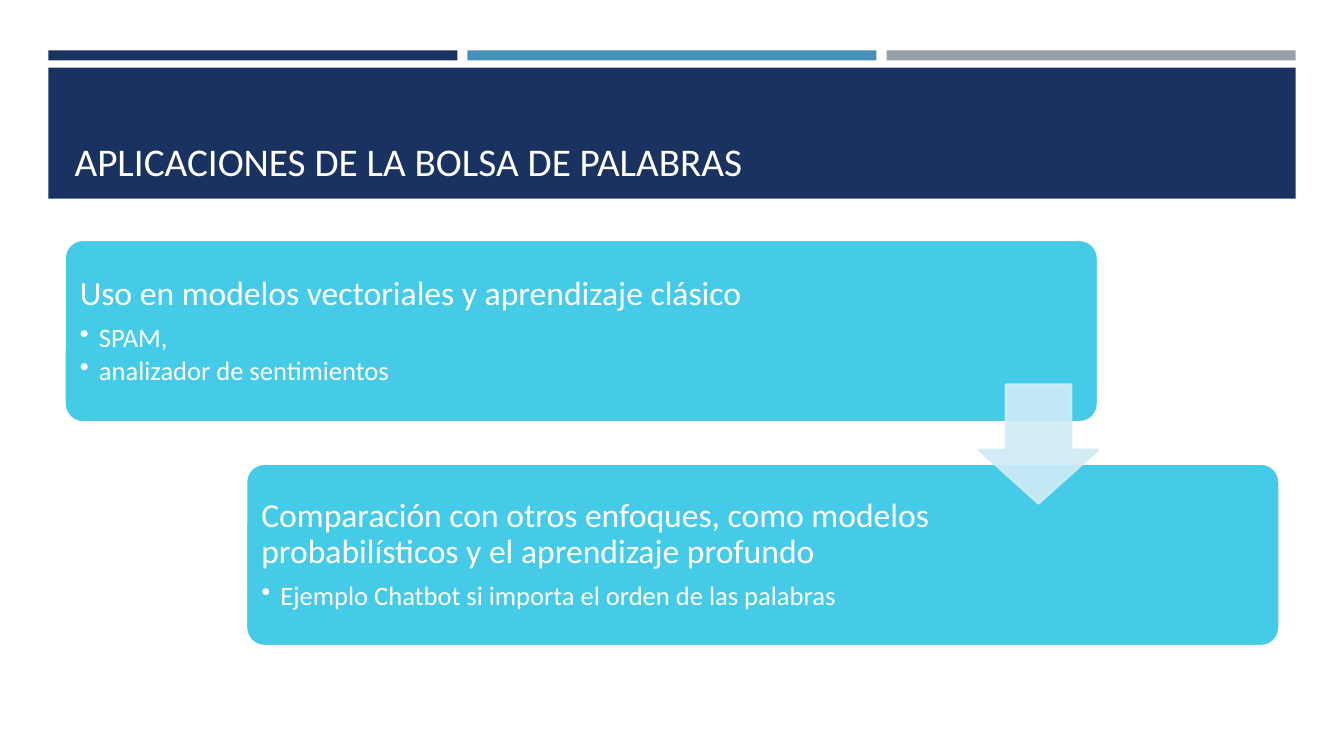
from dataclasses import dataclass

from lxml.etree import SubElement
from pptx import Presentation
from pptx.dml.color import RGBColor
from pptx.enum.shapes import MSO_SHAPE
from pptx.enum.text import MSO_ANCHOR, MSO_AUTO_SIZE, PP_ALIGN
from pptx.oxml.ns import qn
from pptx.util import Inches, Pt


@dataclass(frozen=True)
class Theme:
    font: str = "Calibri"
    white: str = "FFFFFF"
    navy: str = "1A3260"
    blue: str = "4590B8"
    gray: str = "969FA7"
    cyan: str = "45CBE8"
    pale: str = "CFECF6"
    title_size: int = 28
    heading_size: int = 24
    bullet_size: int = 19
    outline: float = 1.75


THEME = Theme()


def add_block(slide, kind, box, fill, line=None):
    shape = slide.shapes.add_shape(kind, *(Inches(length) for length in box))
    shape.shadow.inherit = False
    shape.fill.solid()
    shape.fill.fore_color.rgb = RGBColor.from_string(fill)
    if line:
        shape.line.color.rgb = RGBColor.from_string(line)
        shape.line.width = Pt(THEME.outline)
    else:
        shape.line.fill.background()
    return shape


def format_paragraph(paragraph, size):
    paragraph.alignment = PP_ALIGN.LEFT
    for run in paragraph.runs:
        run.font.name = THEME.font
        run.font.size = Pt(size)
        run.font.color.rgb = RGBColor.from_string(THEME.white)


def add_bullet(paragraph, indent):
    properties = paragraph._p.get_or_add_pPr()
    properties.set("marL", str(Inches(indent)))
    properties.set("indent", str(-Inches(indent)))
    SubElement(properties, qn("a:buChar")).set("char", "•")


def set_opacity(shape, percent):
    for color in shape.element.spPr.iter(qn("a:srgbClr")):
        SubElement(color, qn("a:alpha")).set("val", str(percent * 1000))


def build_header(slide, box, text):
    left, top, width, height = box

    # Three accent bars across the top
    gap, bar_height = 0.1, 0.1
    bar_width = (width - 2 * gap) / 3
    for index, color in enumerate((THEME.navy, THEME.blue, THEME.gray)):
        bar_left = left + index * (bar_width + gap)
        add_block(slide, MSO_SHAPE.RECTANGLE,
                  (bar_left, top, bar_width, bar_height), color)

    # Title band
    band_top = top + 0.17
    band_height = height - 0.17
    add_block(slide, MSO_SHAPE.RECTANGLE,
              (left, band_top, width, band_height), THEME.navy)

    # Title, brought in front of the band
    title = slide.shapes.title
    title.left, title.top = Inches(left + 0.16), Inches(band_top + 0.1)
    title.width, title.height = Inches(width - 0.31), Inches(band_height - 0.19)
    title.element.getparent().append(title.element)
    frame = title.text_frame
    frame.text = text
    frame.auto_size = MSO_AUTO_SIZE.NONE
    frame.word_wrap = True
    frame.vertical_anchor = MSO_ANCHOR.BOTTOM
    format_paragraph(frame.paragraphs[0], THEME.title_size)


def build_card(slide, box, heading, bullets, right_margin):
    card = add_block(slide, MSO_SHAPE.ROUNDED_RECTANGLE, box, THEME.cyan, THEME.white)
    card.adjustments[0] = 0.1
    frame = card.text_frame
    frame.word_wrap = True
    frame.vertical_anchor = MSO_ANCHOR.MIDDLE
    frame.margin_left = frame.margin_top = frame.margin_bottom = Inches(0.1)
    frame.margin_right = Inches(right_margin)
    frame.text = "\n".join([heading, *bullets])

    for index, paragraph in enumerate(frame.paragraphs):
        is_heading = index == 0
        size = THEME.heading_size if is_heading else THEME.bullet_size
        paragraph.line_spacing = 0.9
        paragraph.space_after = Pt(round(size * (0.35 if is_heading else 0.15), 1))
        format_paragraph(paragraph, size)
        if not is_heading:
            paragraph.level = 1
            add_bullet(paragraph, 0.19)


def build_process(slide, box, steps):
    left, top, width, height = box
    card_width, card_height, arrow_size = 10.25, 1.81, 1.18

    # Cards step down from the top left to the bottom right
    for index, (heading, bullets, right_margin) in enumerate(steps):
        share = index / (len(steps) - 1)
        card_box = (left + share * (width - card_width),
                    top + share * (height - card_height),
                    card_width, card_height)
        build_card(slide, card_box, heading, bullets, right_margin)

    # Arrow bridging the gap, flush with the first card's right edge
    arrow_box = (left + card_width - arrow_size,
                 top + (height - arrow_size) / 2 + 0.01,
                 arrow_size, arrow_size)
    arrow = add_block(slide, MSO_SHAPE.DOWN_ARROW, arrow_box, THEME.pale, THEME.pale)
    arrow.adjustments[0] = 0.55
    arrow.adjustments[1] = 0.45
    set_opacity(arrow, 90)


def main():
    presentation = Presentation()
    presentation.slide_width = Inches(13.33)
    presentation.slide_height = Inches(7.5)
    slide = presentation.slides.add_slide(presentation.slide_layouts[5])

    build_header(slide, (0.48, 0.5, 12.37, 1.47), "APLICACIONES DE LA BOLSA DE PALABRAS")
    build_process(slide, (0.64, 2.38, 12.05, 4.03), [
        ("Uso en modelos vectoriales y aprendizaje clásico",
         ["SPAM,", "analizador de sentimientos"], 1.87),
        ("Comparación con otros enfoques, como modelos probabilísticos y el aprendizaje profundo",
         ["Ejemplo Chatbot si importa el orden de las palabras"], 3.08),
    ])
    presentation.save("out.pptx")


if __name__ == "__main__":
    main()
